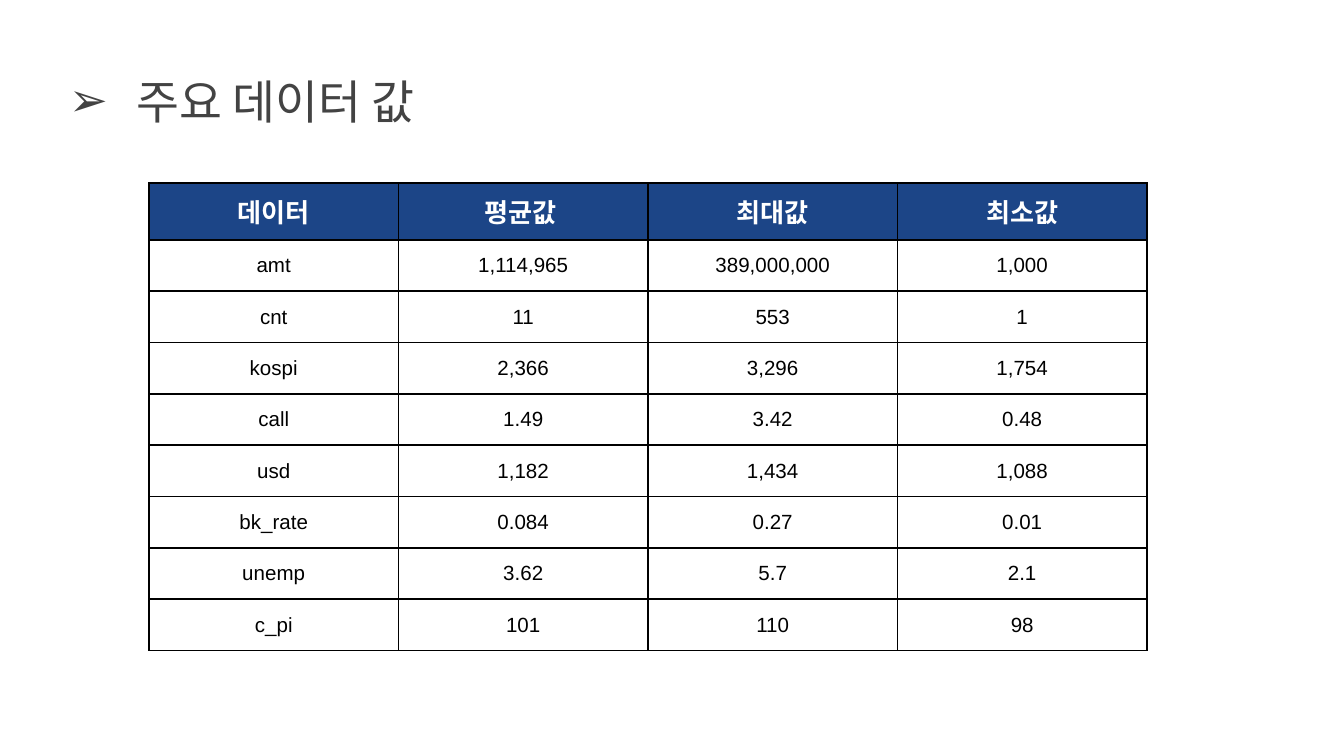
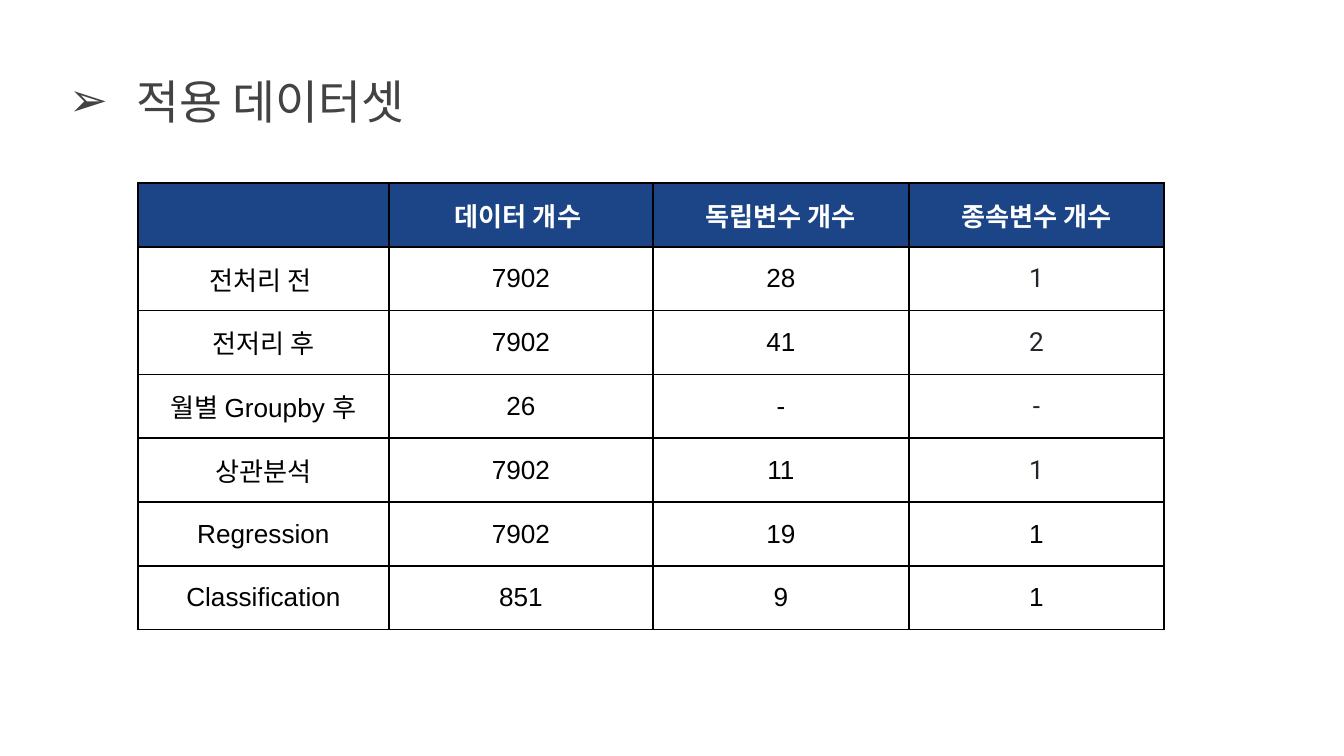
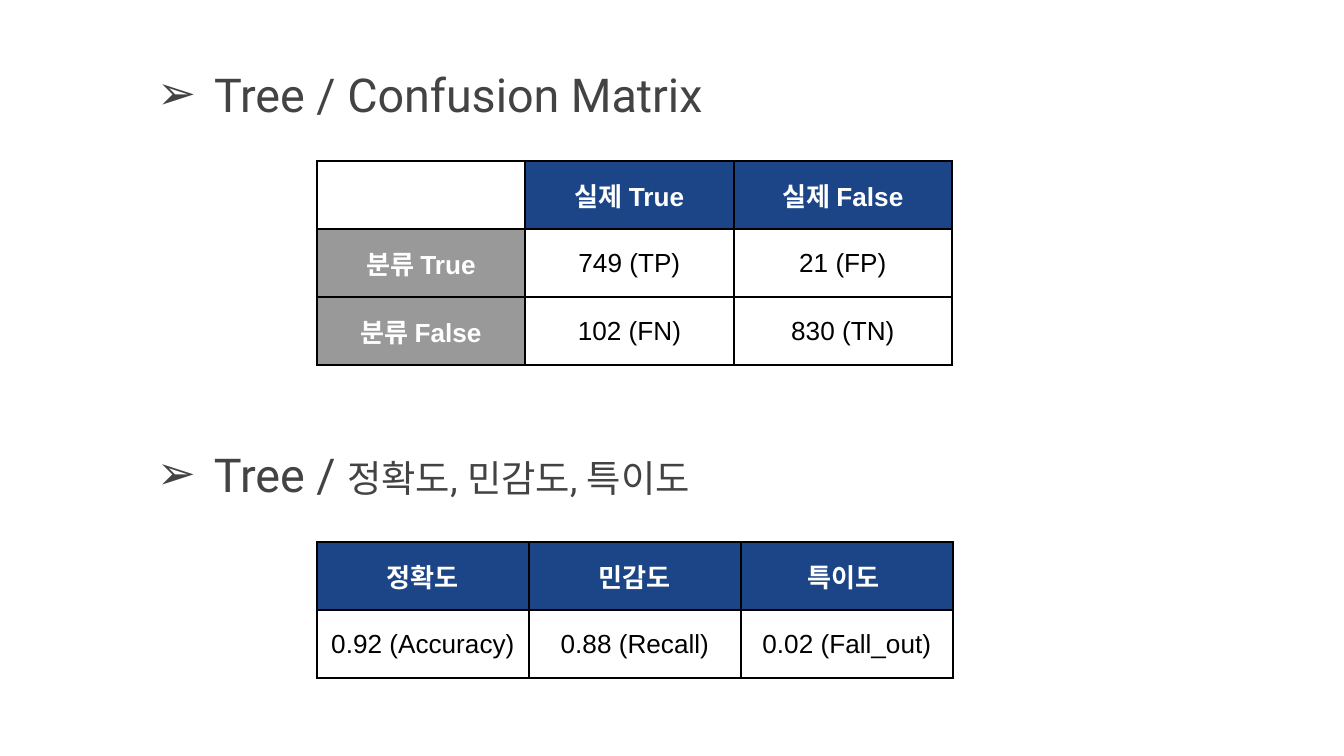
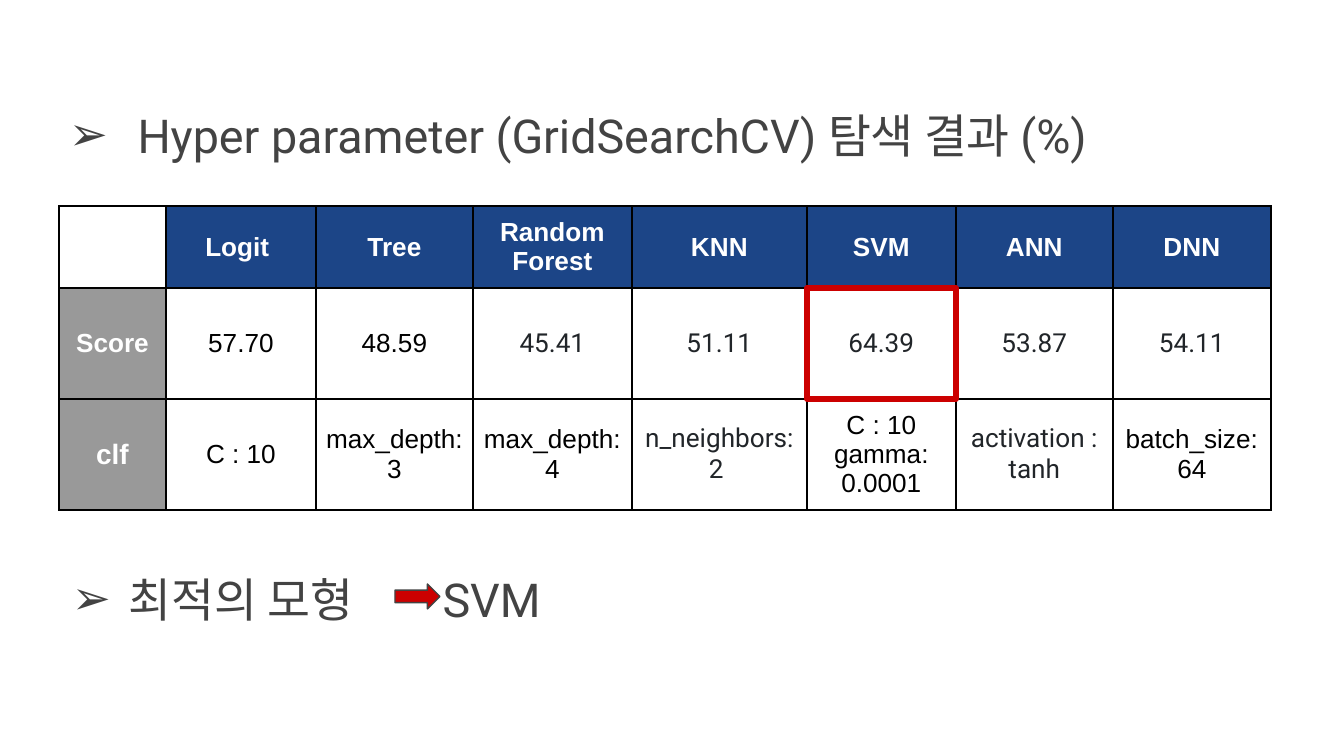
from lxml.etree import SubElement
from pptx import Presentation
from pptx.dml.color import RGBColor
from pptx.enum.shapes import MSO_SHAPE
from pptx.enum.text import MSO_ANCHOR, MSO_AUTO_SIZE, PP_ALIGN
from pptx.oxml.ns import qn
from pptx.util import Emu, Pt

CENTER, LEFT = PP_ALIGN.CENTER, PP_ALIGN.LEFT
MIDDLE, TOP = MSO_ANCHOR.MIDDLE, MSO_ANCHOR.TOP
NO_AUTOFIT = MSO_AUTO_SIZE.NONE
RECTANGLE, RIGHT_ARROW = MSO_SHAPE.RECTANGLE, MSO_SHAPE.RIGHT_ARROW

COLORS = {
    "header": "1C4587",
    "side": "999999",
    "white": "FFFFFF",
    "black": "000000",
    "ink": "212529",
    "heading": "434343",
    "accent": "CC0000",
}
BODY_FONT, HEADING_FONT = "Arial", "Roboto"
HEADING_HEIGHT = 89
TITLE_WIDTH = 1253
EMU_PER_PX = 914400 / 134.4

SLIDES = [
    {
        "headings": [{"box": (45, 60, TITLE_WIDTH), "spans": [(" 주요 데이터 값", 25)]}],
        "tables": [{
            "at": (149, 183), "columns": [998 / 4] * 4, "rows": [57] + [411 / 8] * 8,
            "body_size": 11,
            "cells": [
                ["데이터", "평균값 ", "최대값", "최소값"],
                ["amt", "1,114,965", "389,000,000", "1,000"],
                ["cnt", "11", "553", "1"],
                ["kospi", "2,366", "3,296", "1,754"],
                ["call", "1.49", "3.42", "0.48"],
                ["usd", "1,182", "1,434", "1,088"],
                ["bk_rate", "0.084", "0.27", "0.01"],
                ["unemp", "3.62", "5.7", "2.1"],
                ["c_pi", "101", "110", "98"],
            ],
        }],
    },
    {
        "headings": [{"box": (45, 60, TITLE_WIDTH), "spans": [(" 적용 데이터셋", 25)]}],
        "tables": [{
            "at": (138, 183), "columns": [251, 264, 256, 255], "rows": [447 / 7] * 7,
            "roboto": {(1, 3), (2, 3), (3, 3), (4, 3)},
            "cells": [
                ["", "데이터 개수 ", "독립변수 개수", "종속변수 개수"],
                ["전처리 전 ", "7902", "28", "1"],
                ["전저리 후", "7902", "41", "2"],
                ["월별 Groupby 후", "26", "-", "-"],
                ["상관분석", "7902", "11", "1"],
                ["Regression", "7902", "19", "1"],
                ["Classification", "851", "9", "1"],
            ],
        }],
    },
    {
        "headings": [
            {"box": (133, 53, TITLE_WIDTH), "spans": [("Tree / Confusion Matrix", 25)]},
            {"box": (133, 433, 919),
             "spans": [("Tree / ", 25), ("정확도, 민감도, 특이도", 20)]},
        ],
        "tables": [
            {
                "at": (317, 161), "columns": [208, 209, 218], "rows": [68] * 3,
                "side_header": True,
                "cells": [
                    ["", "실제 True", "실제 False"],
                    ["분류 True", "749 (TP)", "21 (FP)"],
                    ["분류 False", "102 (FN)", "830 (TN)"],
                ],
            },
            {
                "at": (317, 542), "columns": [212] * 3, "rows": [68] * 2,
                "cells": [
                    ["정확도", "민감도", "특이도 "],
                    ["0.92 (Accuracy)", "0.88 (Recall)", "0.02 (Fall_out)"],
                ],
            },
        ],
    },
    {
        "headings": [
            {"box": (45, 94, TITLE_WIDTH),
             "spans": [(" Hyper parameter (GridSearchCV) 탐색 결과 (%)", 25)]},
            {"box": (48, 558, TITLE_WIDTH),
             "spans": [("최적의 모형", 25), (" ", 25, 42), ("SVM", 25)]},
        ],
        "tables": [{
            "at": (59, 206),
            "columns": [107, 150, 157, 159, 175, 149, 157, 158],
            "rows": [82, 111, 111],
            "side_header": True,
            "sizes": {(2, 0): 15},
            "roboto": {(1, 3), (1, 4), (1, 5), (1, 6), (1, 7), (2, 4), (2, 6)},
            "highlight": (1, 5),
            "cells": [
                ["", "Logit ", "Tree", "Random\nForest", "KNN", "SVM", "ANN", "DNN"],
                ["Score", "57.70", "48.59", "45.41", "51.11", "64.39", "53.87", "54.11"],
                ["clf", "C : 10", "max_depth:3", "max_depth:4", "n_neighbors: 2 ",
                 "C : 10\ngamma: 0.0001", "activation : tanh", "batch_size: 64"],
            ],
        }],
        "arrow": (395, 584, 45, 25),
    },
]


def px(length):
    return Emu(round(length * EMU_PER_PX))


def rgb(name):
    return RGBColor.from_string(COLORS[name])


def add_span(para, text, size, font, color, bold=False):
    span = para.add_run()
    span.text = text
    span.font.size = Pt(size)
    span.font.bold = bold
    span.font.color.rgb = rgb(color)
    span.font.name = font
    return span


def set_margins(target, margin):
    target.margin_left = target.margin_right = px(margin)
    target.margin_top = target.margin_bottom = px(margin)


def add_bullet(para):
    properties = para._p.get_or_add_pPr()
    properties.set("marL", str(px(68)))
    properties.set("indent", str(px(-57)))
    color = SubElement(properties, qn("a:buClr"))
    SubElement(color, qn("a:srgbClr"), val=COLORS["heading"])
    SubElement(properties, qn("a:buFont"), typeface=HEADING_FONT)
    SubElement(properties, qn("a:buChar"), char="➢")


def format_heading(shape, heading):
    left, top, width = heading["box"]
    shape.left, shape.top = px(left), px(top)
    shape.width, shape.height = px(width), px(HEADING_HEIGHT)
    frame = shape.text_frame
    frame.word_wrap = True
    frame.auto_size = NO_AUTOFIT
    frame.vertical_anchor = TOP
    set_margins(frame, 13)
    para = frame.paragraphs[0]
    para.alignment = LEFT
    add_bullet(para)
    for text, size, *spacing in heading["spans"]:
        span = add_span(para, text, size, HEADING_FONT, "heading")
        if spacing:
            span._r.get_or_add_rPr().set("spc", str(spacing[0] * 100))


def add_borders(cell):
    properties = cell._tc.get_or_add_tcPr()
    for side in ("a:lnL", "a:lnR", "a:lnT", "a:lnB"):
        line = SubElement(properties, qn(side), w=str(Pt(1)))
        fill = SubElement(line, qn("a:solidFill"))
        SubElement(fill, qn("a:srgbClr"), val=COLORS["black"])


def cell_fill(table, row, column):
    side_header = table.get("side_header", False)
    if row == 0:
        return "white" if side_header and column == 0 else "header"
    return "side" if side_header and column == 0 else None


def set_fill(target, color):
    if color:
        target.fill.solid()
        target.fill.fore_color.rgb = rgb(color)
    else:
        target.fill.background()


def format_cell(cell, table, row, column):
    add_borders(cell)
    fill = cell_fill(table, row, column)
    set_fill(cell, fill)
    cell.vertical_anchor = MIDDLE
    set_margins(cell, 9)

    text = table["cells"][row][column]
    if not text:
        return
    size = 14 if fill else table.get("body_size", 14)
    size = table.get("sizes", {}).get((row, column), size)
    font, color = BODY_FONT, "white" if fill else "black"
    if (row, column) in table.get("roboto", ()):
        font, color = HEADING_FONT, "ink"
    frame = cell.text_frame
    for index, line in enumerate(text.split("\n")):
        para = frame.add_paragraph() if index else frame.paragraphs[0]
        para.alignment = CENTER
        add_span(para, line, size, font, color, bold=bool(fill))


def add_data_table(page, table):
    left, top = table["at"]
    columns, rows = table["columns"], table["rows"]
    grid = page.shapes.add_table(
        len(rows), len(columns), px(left), px(top), px(sum(columns)), px(sum(rows))
    ).table
    grid.first_row = grid.horz_banding = False
    for index, width in enumerate(columns):
        grid.columns[index].width = px(width)
    for row, height in enumerate(rows):
        grid.rows[row].height = px(height)
        for column in range(len(columns)):
            format_cell(grid.cell(row, column), table, row, column)
    if "highlight" in table:
        row, column = table["highlight"]
        box = (left + sum(columns[:column]), top + sum(rows[:row]),
               columns[column], rows[row])
        add_outlined_shape(page, RECTANGLE, box, "accent", 3)


def add_outlined_shape(page, kind, box, line_color, line_width, fill=None):
    shape = page.shapes.add_shape(kind, *map(px, box))
    shape.shadow.inherit = False
    shape.line.color.rgb = rgb(line_color)
    shape.line.width = Pt(line_width)
    set_fill(shape, fill)


def build_slide(deck, content):
    page = deck.slides.add_slide(deck.slide_layouts[5])
    title, *others = content["headings"]
    format_heading(page.shapes.title, title)
    for heading in others:
        left, top, width = heading["box"]
        box = page.shapes.add_textbox(px(left), px(top), px(width), px(HEADING_HEIGHT))
        format_heading(box, heading)
    for table in content["tables"]:
        add_data_table(page, table)
    if "arrow" in content:
        add_outlined_shape(page, RIGHT_ARROW, content["arrow"], "heading", 0.75, "accent")


def main():
    deck = Presentation()
    deck.slide_width, deck.slide_height = px(1344), px(756)
    for content in SLIDES:
        build_slide(deck, content)
    deck.save("out.pptx")


if __name__ == "__main__":
    main()
